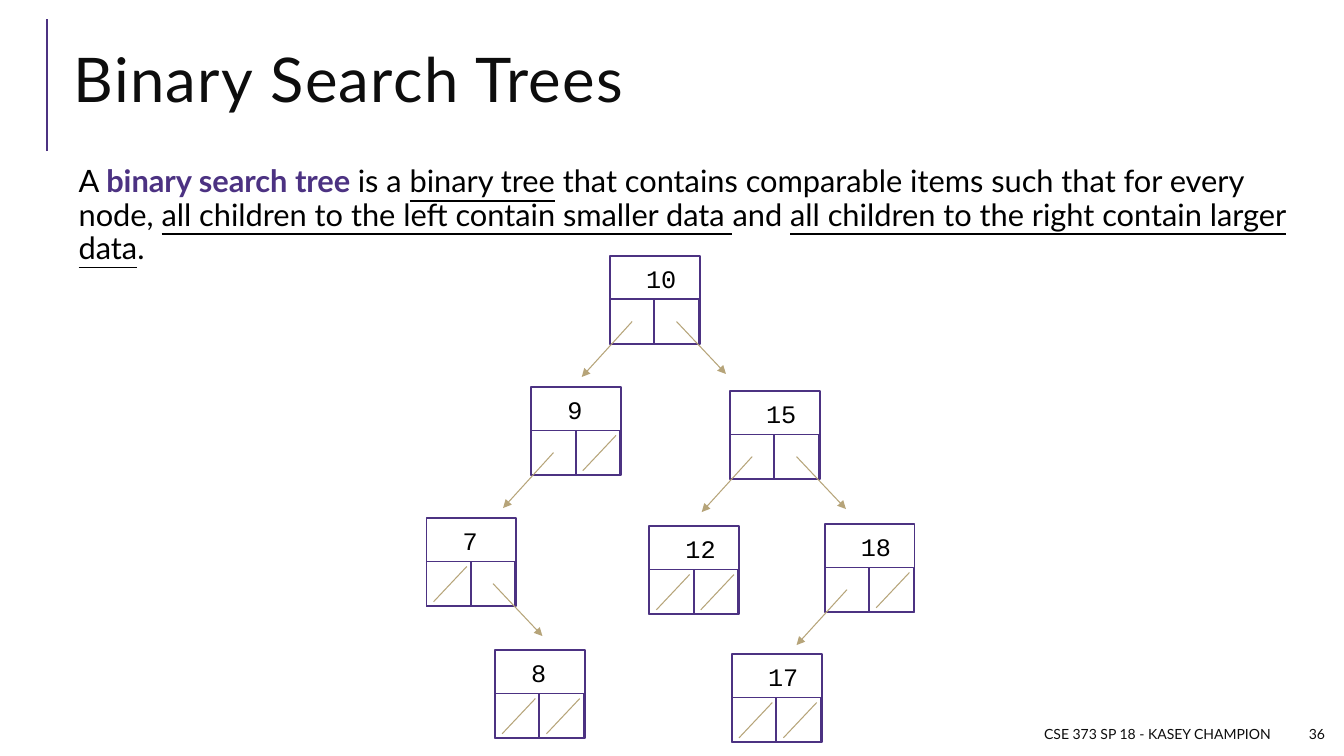
from dataclasses import dataclass

from lxml.etree import SubElement
from pptx import Presentation
from pptx.dml.color import RGBColor
from pptx.enum.shapes import MSO_CONNECTOR, MSO_SHAPE
from pptx.enum.text import MSO_ANCHOR, MSO_AUTO_SIZE, PP_ALIGN
from pptx.oxml.ns import qn
from pptx.util import Inches, Pt


@dataclass(frozen=True)
class Theme:
    """Colours, fonts and type sizes of the slide."""
    purple: RGBColor = RGBColor(0x4C, 0x32, 0x82)
    gold: RGBColor = RGBColor(0xB6, 0xA4, 0x79)
    ink: RGBColor = RGBColor(0x0D, 0x0D, 0x0D)
    black: RGBColor = RGBColor(0, 0, 0)
    font: str = "Lato"
    code_font: str = "Courier New"
    title_size: Pt = Pt(44)
    body_size: Pt = Pt(22)
    node_size: Pt = Pt(18)
    footer_size: Pt = Pt(10)


THEME = Theme()
NODE_WIDTH, NODE_HEIGHT, CELL = 0.89, 0.87, 0.44

DEFINITION = [
    ("A ", ""),
    ("binary search tree ", "key"),
    ("is a ", ""),
    ("binary tree", "underline"),
    (" that contains comparable items such that for every node, ", ""),
    ("all children to the left contain smaller data ", "underline"),
    ("and ", ""),
    ("all children to the right contain larger data", "underline"),
    (".", ""),
]

TREE = [
    ("10", 6.05, 2.54, True, True),
    ("9", 5.27, 3.84, True, False),
    ("15", 7.24, 3.88, True, True),
    ("7", 4.23, 5.14, False, True),
    ("12", 6.44, 5.22, False, False),
    ("18", 8.18, 5.2, True, False),
    ("8", 4.91, 6.45, False, False),
    ("17", 7.26, 6.49, False, False),
]


def inches(*lengths):
    """Turn plain numbers into lengths."""
    return [Inches(length) for length in lengths]


def place(shape, box):
    """Move a shape to a left, top, width, height box."""
    shape.left, shape.top, shape.width, shape.height = inches(*box)


def style_font(font, name, size, color):
    """Set the face, size and colour of a font."""
    font.name, font.size = name, size
    font.color.rgb = color


def add_line(shapes, start, end, color, width, arrow=False):
    """Draw a straight line, with an optional arrowhead at its end."""
    line = shapes.add_connector(MSO_CONNECTOR.STRAIGHT, *inches(*start, *end))
    line.line.color.rgb = color
    line.line.width = Pt(width)
    if arrow:
        SubElement(line.line._get_or_add_ln(), qn("a:tailEnd"), type="triangle")
    SubElement(line._element.spPr, qn("a:effectLst"))


def add_title(page, box):
    """Fill the title and draw the rule to its left."""
    left, top, _, _ = box
    add_line(page.shapes, (left - 0.16, top + 1.21), (left - 0.16, top - 0.1),
             THEME.purple, 1.5)
    title = page.shapes.title
    place(title, box)
    frame = title.text_frame
    frame.auto_size = MSO_AUTO_SIZE.NONE
    frame.vertical_anchor = MSO_ANCHOR.MIDDLE
    para = frame.paragraphs[0]
    para.alignment, para.line_spacing = PP_ALIGN.LEFT, 0.8
    style_font(para.font, THEME.font, THEME.title_size, THEME.ink)
    span = para.add_run()
    span.text = "Binary Search Trees"
    span._r.get_or_add_rPr().set("spc", "100")


def add_definition(page, box):
    """Fill the body with the definition and its emphasised phrases."""
    body = page.placeholders[1]
    place(body, box)
    frame = body.text_frame
    frame.auto_size = MSO_AUTO_SIZE.NONE
    frame.margin_left = frame.margin_right = Inches(0.05)
    frame.margin_top = frame.margin_bottom = Inches(0.05)
    para = frame.paragraphs[0]
    properties = para._p.get_or_add_pPr()
    properties.set("marL", str(Inches(0.1)))
    properties.set("indent", str(Inches(-0.1)))
    SubElement(properties, qn("a:buChar"), char=" ")
    para.line_spacing = 0.9
    para.space_before, para.space_after = Pt(12), Pt(2)
    para.font.name, para.font.size = THEME.font, THEME.body_size
    for text, emphasis in DEFINITION:
        span = para.add_run()
        span.text = text
        span.font.color.rgb = THEME.purple if emphasis == "key" else THEME.black
        if emphasis == "key":
            span.font.bold = True
        if emphasis == "underline":
            span.font.underline = True


def add_footer(page, text, box):
    """Write a small right-aligned footer text."""
    footer = page.shapes.add_textbox(*inches(*box))
    frame = footer.text_frame
    frame.word_wrap = True
    frame.vertical_anchor = MSO_ANCHOR.MIDDLE
    para = frame.paragraphs[0]
    para.text, para.alignment = text, PP_ALIGN.RIGHT
    style_font(para.font, THEME.font, THEME.footer_size, THEME.ink)


def add_cell(shapes, box):
    """Draw one outlined rectangle of a node."""
    cell = shapes.add_shape(MSO_SHAPE.RECTANGLE, *inches(*box))
    cell.shadow.inherit = False
    cell.fill.background()
    cell.line.color.rgb = THEME.purple
    cell.line.width = Pt(1.25)


def add_node(page, value, left, top, has_left, has_right):
    """Draw a tree node with an arrow or a null slash in each child cell."""
    shapes = page.shapes.add_group_shape().shapes
    cell_top = top + NODE_HEIGHT - CELL
    add_cell(shapes, (left, top, NODE_WIDTH, NODE_HEIGHT))

    label_width = 0.2 + 0.15 * len(value)
    label = shapes.add_textbox(*inches(left + 0.26, top + 0.02, label_width, 0.4))
    label.text_frame.word_wrap = False
    label.text_frame.auto_size = MSO_AUTO_SIZE.SHAPE_TO_FIT_TEXT
    para = label.text_frame.paragraphs[0]
    para.text = value
    style_font(para.font, THEME.code_font, THEME.node_size, THEME.black)

    children = [(left, has_left, -0.5, 0.55), (left + CELL, has_right, 0.49, 0.52)]
    for cell_left, has_child, across, down in children:
        add_cell(shapes, (cell_left, cell_top, CELL, CELL))
        if has_child:
            start = (cell_left + CELL / 2, cell_top + CELL / 2)
            end = (start[0] + across, start[1] + down)
        else:
            start = (cell_left + 0.4, cell_top + 0.05)
            end = (cell_left + 0.07, cell_top + 0.4)
        add_line(shapes, start, end, THEME.gold, 0.75, arrow=has_child)


def main():
    """Build the slide and save it."""
    deck = Presentation()
    deck.slide_width, deck.slide_height = inches(13.33, 7.5)
    page = deck.slides.add_slide(deck.slide_layouts[1])
    add_title(page, (0.63, 0.29, 12.23, 1.11))
    add_definition(page, (0.63, 1.6, 12.23, 5.3))
    add_footer(page, "CSE 373 SP 18 - KASEY CHAMPION", (6.25, 7.13, 6.45, 0.3))
    add_footer(page, "36", (12.78, 7.13, 0.46, 0.3))
    for node in TREE:
        add_node(page, *node)
    deck.save("out.pptx")


if __name__ == "__main__":
    main()
